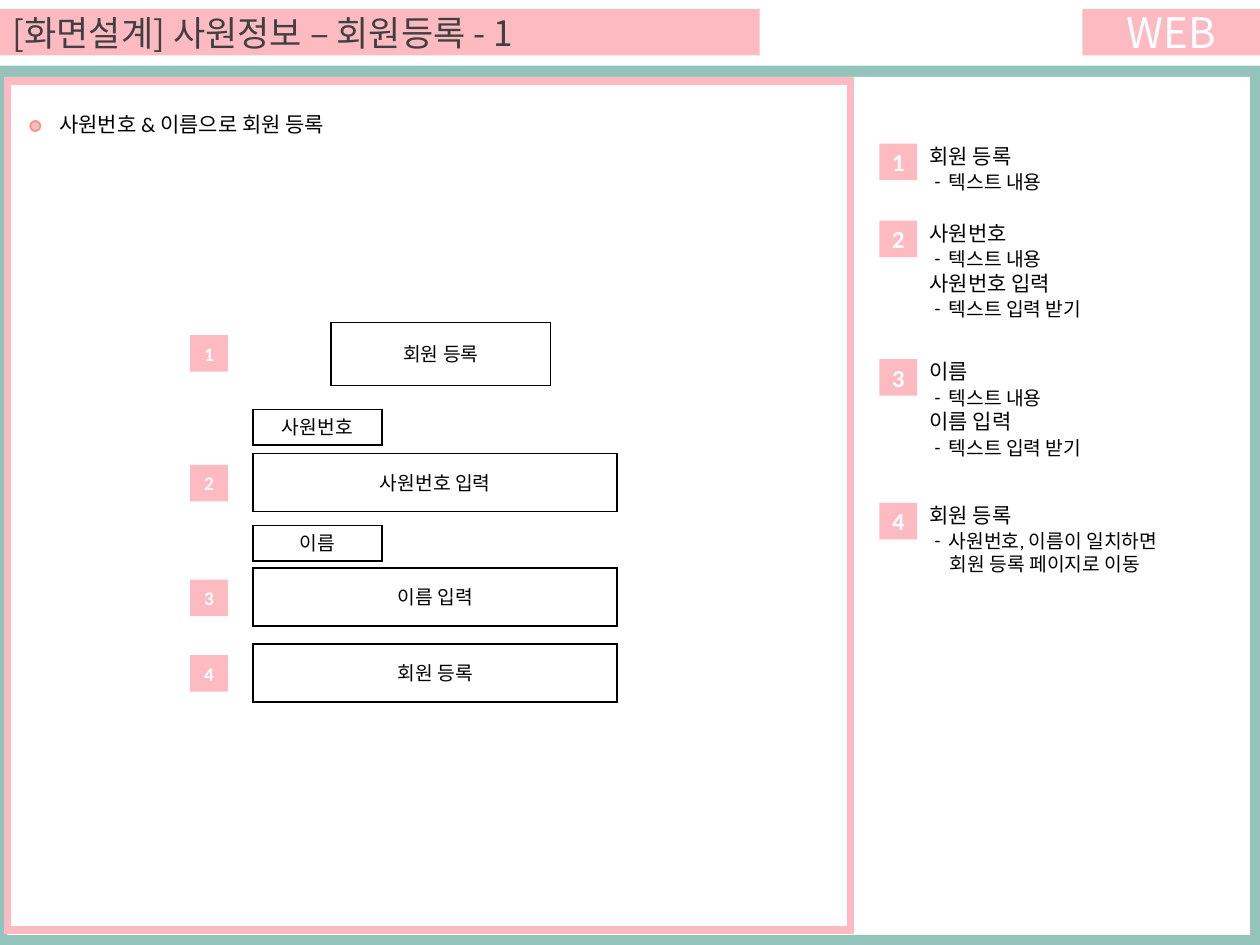
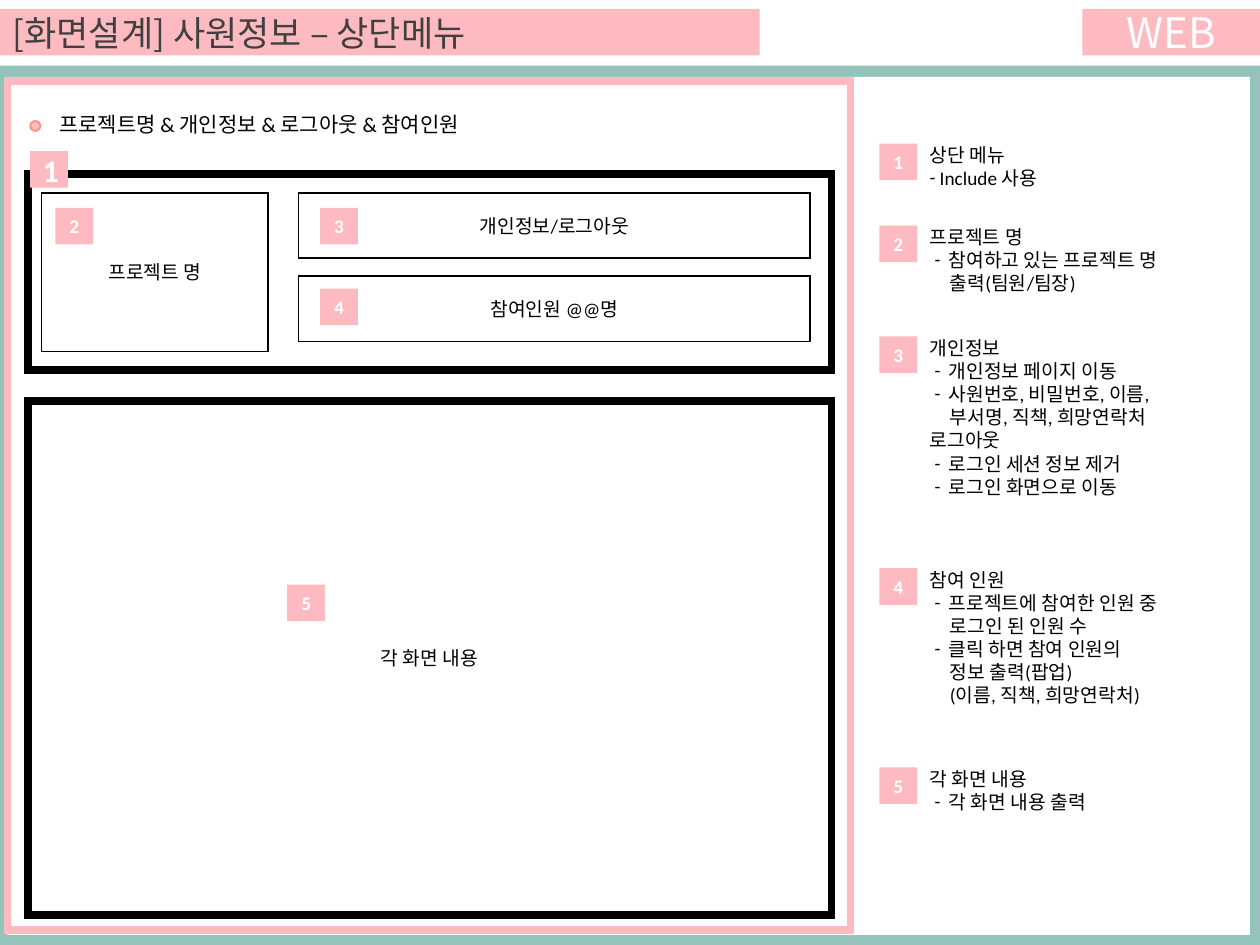
import pptx
import pptx.util
import pptx.dml.color
import pptx.enum.shapes
import pptx.enum.text
from lxml import etree

Inches = pptx.util.Inches
Pt = pptx.util.Pt
RGBColor = pptx.dml.color.RGBColor
RECT = pptx.enum.shapes.MSO_SHAPE.RECTANGLE
OVAL = pptx.enum.shapes.MSO_SHAPE.OVAL
ALIGN = pptx.enum.text.PP_ALIGN
MIDDLE = pptx.enum.text.MSO_ANCHOR.MIDDLE
NO_FIT = pptx.enum.text.MSO_AUTO_SIZE.NONE

PINK = RGBColor(0xFD, 0xBB, 0xC1)
CORAL = RGBColor(0xFE, 0x90, 0x7E)
TEAL = RGBColor(0x94, 0xC3, 0xBB)
GRAY = RGBColor(0x40, 0x40, 0x40)
BLACK = RGBColor(0, 0, 0)
WHITE = RGBColor(255, 255, 255)
SANS = "Calibri"
NOTO = "Noto Sans CJK KR"
NS = "http://schemas.openxmlformats.org/drawingml/2006/main"

# Left margin and first-line indent of each kind of note line, in inches
INDENT = {"head": (0, 0), "item": (0.15, -0.11),
          "flush": (0.08, -0.08), "more": (0.16, 0)}


def write(para, text, size, color, font=SANS, bold=False):
    run = para.add_run()
    run.text = text
    run.font.size = Pt(size)
    run.font.name = font
    run.font.bold = bold
    run.font.color.rgb = color


def draw(slide, place, fill=None, line=None, width=1, kind=RECT,
         text="", size=11, color=BLACK, font=SANS, bold=False):
    """Add a flat shape with optional centred text."""
    shape = slide.shapes.add_shape(kind, *map(Inches, place))
    shape.shadow.inherit = False
    if fill is None:
        shape.fill.background()
    else:
        shape.fill.solid()
        shape.fill.fore_color.rgb = fill
    if line is None:
        shape.line.fill.background()
    else:
        shape.line.color.rgb = line
        shape.line.width = Pt(width)
        etree.SubElement(shape.line._ln, f"{{{NS}}}miter", lim="800000")
    if text:
        frame = shape.text_frame
        frame.word_wrap = True
        frame.vertical_anchor = MIDDLE
        frame.paragraphs[0].alignment = ALIGN.CENTER
        write(frame.paragraphs[0], text, size, color, font, bold)


# Boxes: place, text, line width. Badges: left, top, label, size.
# Notes: top of the text, then its lines.
PAGES = [
    {
        "title": "[화면설계] 사원정보 – 회원등록 - 1",
        "topic": "사원번호 & 이름으로 회원 등록",
        "boxes": [
            ((2.63, 2.56, 1.74, 0.5), "회원 등록", 1),
            ((2.01, 3.25, 1.02, 0.28), "사원번호", 1),
            ((2.01, 3.6, 2.89, 0.46), "사원번호 입력", 1),
            ((2.01, 4.17, 1.02, 0.28), "이름", 1),
            ((2.01, 4.51, 2.89, 0.46), "이름 입력", 1),
            ((2.01, 5.11, 2.89, 0.46), "회원 등록", 1),
        ],
        "badges": [(1.51, 2.66, "1", 11), (1.51, 3.69, "2", 11),
                   (1.51, 4.6, "3", 11), (1.51, 5.2, "4", 11)],
        "head": 12, "mark": 14, "gap": 1,
        "notes": [
            (1.09, [("head", "회원 등록"), ("item", "텍스트 내용")]),
            (1.7, [("head", "사원번호"), ("item", "텍스트 내용"),
                   ("head", "사원번호 입력"), ("item", "텍스트 입력 받기")]),
            (2.8, [("head", "이름"), ("item", "텍스트 내용"),
                   ("head", "이름 입력"), ("item", "텍스트 입력 받기")]),
            (3.94, [("head", "회원 등록"),
                    ("item", "사원번호, 이름이 일치하면"),
                    ("more", "회원 등록 페이지로 이동")]),
        ],
    },
    {
        "title": "[화면설계] 사원정보 – 상단메뉴",
        "topic": "프로젝트명 & 개인정보 & 로그아웃 & 참여인원",
        "boxes": [
            ((0.22, 1.38, 6.38, 1.56), "", 4.5),
            ((0.22, 3.18, 6.38, 4.08), "각 화면 내용", 4.5),
            ((0.33, 1.53, 1.8, 1.26), "프로젝트 명", 1),
            ((2.37, 1.53, 4.06, 0.52), "개인정보/로그아웃", 1),
            ((2.37, 2.19, 4.06, 0.52), "참여인원 @@명", 1),
        ],
        "badges": [(0.24, 1.2, "1", 18), (0.44, 1.65, "2", 11),
                   (2.54, 1.65, "3", 11), (2.54, 2.29, "4", 11),
                   (2.28, 4.64, "5", 11)],
        "head": 11, "mark": 11, "gap": 0,
        "notes": [
            (1.09, [("head", "상단 메뉴"), ("flush", "Include 사용")]),
            (1.74, [("head", "프로젝트 명"),
                    ("item", "참여하고 있는 프로젝트 명"),
                    ("more", "출력(팀원/팀장)")]),
            (2.62, [("head", "개인정보"),
                    ("item", "개인정보 페이지 이동"),
                    ("item", "사원번호, 비밀번호, 이름,"),
                    ("more", "부서명, 직책, 희망연락처"),
                    ("head", "로그아웃"),
                    ("item", "로그인 세션 정보 제거"),
                    ("item", "로그인 화면으로 이동")]),
            (4.46, [("head", "참여 인원"),
                    ("item", "프로젝트에 참여한 인원 중"),
                    ("more", "로그인 된 인원 수"),
                    ("item", "클릭 하면 참여 인원의"),
                    ("more", "정보 출력(팝업)"),
                    ("more", "(이름, 직책, 희망연락처)")]),
            (6.04, [("head", "각 화면 내용"), ("item", "각 화면 내용 출력")]),
        ],
    },
]

deck = pptx.Presentation()
deck.slide_width = Inches(10)
deck.slide_height = Inches(7.5)

for page in PAGES:
    slide = deck.slides.add_slide(deck.slide_layouts[5])

    # Title band
    title = slide.shapes.title
    title.left, title.top = Inches(0), Inches(0.07)
    title.width, title.height = Inches(6.03), Inches(0.37)
    title.fill.solid()
    title.fill.fore_color.rgb = PINK
    frame = title.text_frame
    frame.auto_size = NO_FIT
    frame.word_wrap = True
    frame.vertical_anchor = MIDDLE
    frame.paragraphs[0].alignment = ALIGN.LEFT
    write(frame.paragraphs[0], page["title"], 20, GRAY, NOTO)
    draw(slide, (8.59, 0.07, 1.41, 0.37), PINK, text="WEB", size=24,
         color=WHITE, font=NOTO)

    # Page frame and topic
    draw(slide, (0, 0.52, 10, 6.98), TEAL)
    draw(slide, (0.06, 0.61, 9.86, 6.81), WHITE)
    draw(slide, (0.06, 0.64, 6.69, 6.74), line=PINK, width=4.5)
    draw(slide, (0.24, 0.96, 0.08, 0.08), PINK, CORAL, kind=OVAL)
    topic = slide.shapes.add_textbox(
        Inches(0.33), Inches(0.84), Inches(3.86), Inches(0.3))
    topic.text_frame.word_wrap = True
    topic.text_frame.margin_left = Inches(0.14)
    write(topic.text_frame.paragraphs[0], page["topic"], 12, BLACK)

    # Screen layout
    for place, text, width in page["boxes"]:
        draw(slide, place, WHITE, BLACK, width, text=text)
    marks = [(6.98, top + 0.05, str(num), page["mark"])
             for num, (top, lines) in enumerate(page["notes"], 1)]
    for left, top, label, size in page["badges"] + marks:
        draw(slide, (left, top, 0.3, 0.29), PINK, text=label, size=size,
             color=WHITE, bold=True)

    # Notes
    for top, lines in page["notes"]:
        note = slide.shapes.add_textbox(
            Inches(7.28), Inches(top), Inches(2.65),
            Inches(0.1 + 0.19 * len(lines)))
        frame = note.text_frame
        frame.word_wrap = True
        for row, (kind, text) in enumerate(lines):
            para = frame.add_paragraph() if row else frame.paragraphs[0]
            margin, indent = INDENT[kind]
            props = para._p.get_or_add_pPr()
            props.set("marL", str(Inches(margin)))
            props.set("indent", str(Inches(indent)))
            if kind in ("item", "flush"):
                para.space_before = Pt(page["gap"])
                etree.SubElement(props, f"{{{NS}}}buFont", typeface=SANS)
                etree.SubElement(props, f"{{{NS}}}buChar", char="-")
            write(para, text, page["head"] if kind == "head" else 11, BLACK)

deck.save("out.pptx")
